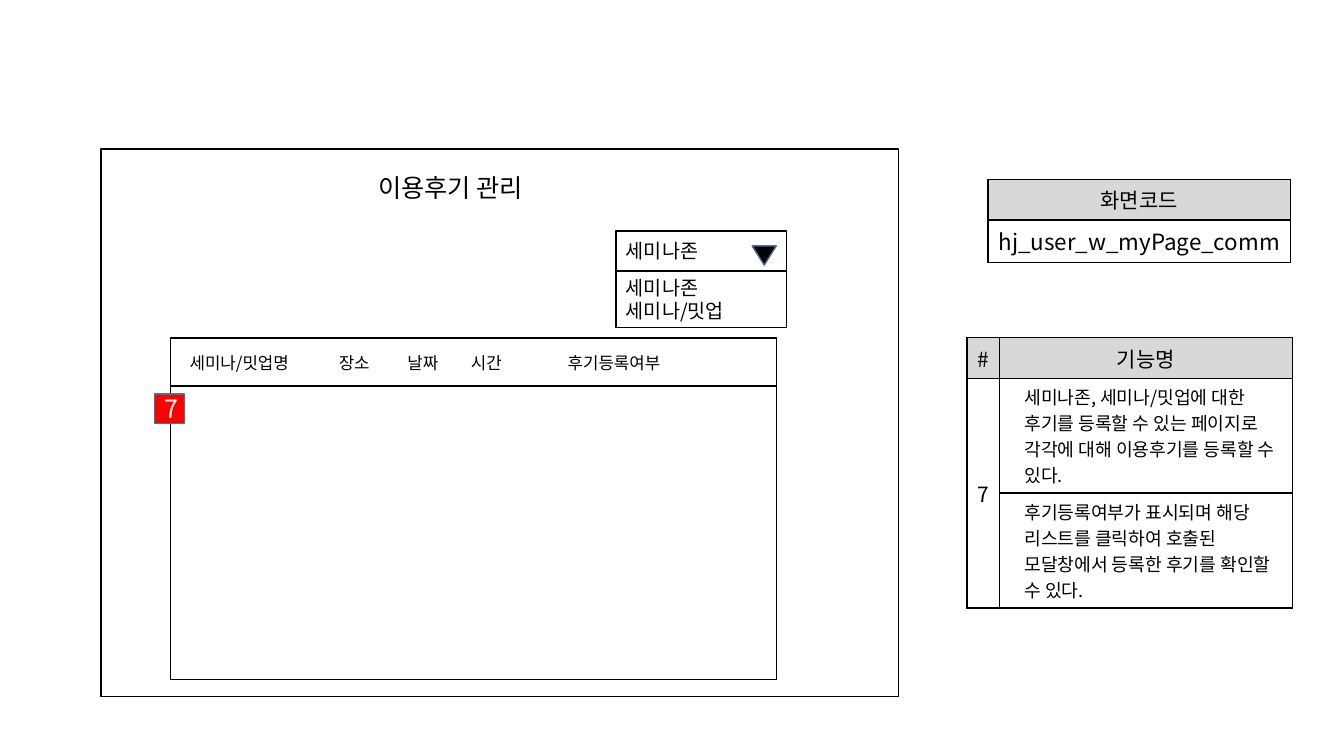
from lxml import etree
from pptx import Presentation
from pptx.dml.color import RGBColor
from pptx.enum.shapes import MSO_SHAPE
from pptx.enum.text import MSO_ANCHOR, PP_ALIGN
from pptx.oxml.ns import qn
from pptx.util import Inches, Pt

RECTANGLE = MSO_SHAPE.RECTANGLE
TRIANGLE = MSO_SHAPE.ISOSCELES_TRIANGLE
MIDDLE, TOP = MSO_ANCHOR.MIDDLE, MSO_ANCHOR.TOP
LEFT, CENTER = PP_ALIGN.LEFT, PP_ALIGN.CENTER
FONT = "Noto Sans CJK KR"
COLORS = {"ink": "000000", "paper": "FFFFFF", "header": "D8D8D8",
          "badge": "FF0000", "edge": "43739E"}


def rgb(name):
    """Return the named colour."""
    return RGBColor.from_string(COLORS[name])


def write(frame, lines, size, color="ink", align=LEFT):
    """Fill a text frame with one paragraph per line."""
    frame.text = "\n".join(lines)
    for paragraph in frame.paragraphs:
        paragraph.alignment = align
        font = paragraph.font
        font.size, font.name = Pt(size), FONT
        font.color.rgb = rgb(color)
        for run in paragraph.runs:
            properties = run._r.get_or_add_rPr()
            etree.SubElement(properties, qn("a:ea"), typeface=FONT)


def add_title(slide, text, left, top, width, height):
    """Place the page heading in the title placeholder."""
    title = slide.shapes.title
    title.left, title.top = Inches(left), Inches(top)
    title.width, title.height = Inches(width), Inches(height)
    write(title.text_frame, [text], 18)
    title.text_frame.vertical_anchor = TOP


def add_box(slide, left, top, width, height, fill=None, edge="ink", kind=RECTANGLE):
    """Draw an outlined preset shape."""
    box = slide.shapes.add_shape(kind, Inches(left), Inches(top), Inches(width), Inches(height))
    box.shadow.inherit = False
    if fill:
        box.fill.solid()
        box.fill.fore_color.rgb = rgb(fill)
    else:
        box.fill.background()
    box.line.color.rgb = rgb(edge)
    box.line.width = Pt(1)
    box.text_frame.vertical_anchor = MIDDLE
    return box


def set_tabs(paragraph, stops):
    """Set left tab stops in inches."""
    tabs = etree.SubElement(paragraph._p.get_or_add_pPr(), qn("a:tabLst"))
    for stop in stops:
        etree.SubElement(tabs, qn("a:tab"), pos=str(Inches(stop)), algn="l")


def add_borders(cell):
    """Draw a thin line on each side of a cell."""
    properties = cell._tc.get_or_add_tcPr()
    for index, side in enumerate(("a:lnL", "a:lnR", "a:lnT", "a:lnB")):
        line = etree.Element(qn(side), w=str(Pt(1)))
        fill = etree.SubElement(line, qn("a:solidFill"))
        etree.SubElement(fill, qn("a:srgbClr"), val=COLORS["ink"])
        properties.insert(index, line)


def add_grid(slide, left, top, columns, rows, inset):
    """Add a bordered table with a grey header row."""
    table = slide.shapes.add_table(len(rows), len(columns), Inches(left), Inches(top),
                                   Inches(sum(columns)), Inches(sum(rows))).table
    for column, width in zip(table.columns, columns):
        column.width = Inches(width)
    for index, (row, height) in enumerate(zip(table.rows, rows)):
        row.height = Inches(height)
        for cell in row.cells:
            cell.fill.solid()
            cell.fill.fore_color.rgb = rgb("paper" if index else "header")
            cell.margin_left = cell.margin_right = Inches(inset)
            cell.vertical_anchor = MIDDLE
            add_borders(cell)
    return table


def add_features(slide):
    """Add the table of numbered features."""
    features = add_grid(slide, 9.59, 3.35, [0.32, 2.91], [0.4, 1.14, 1.14], 0.1)
    features.cell(1, 0).merge(features.cell(2, 0))
    for row, column, text in ((0, 0, "#"), (0, 1, "기능명"), (1, 0, "7")):
        write(features.cell(row, column).text_frame, [text], 15, align=CENTER)
    descriptions = ("세미나존, 세미나/밋업에 대한 후기를 등록할 수 있는 페이지로 "
                    "각각에 대해 이용후기를 등록할 수 있다.",
                    "후기등록여부가 표시되며 해당 리스트를 클릭하여 호출된 "
                    "모달창에서 등록한 후기를 확인할 수 있다.")
    for row, description in enumerate(descriptions, 1):
        cell = features.cell(row, 1)
        cell.vertical_anchor = TOP
        write(cell.text_frame, [description], 13)
        cell.text_frame.paragraphs[0]._p.get_or_add_pPr().set("marL", str(Inches(0.15)))


def add_dropdown(slide):
    """Add the zone selector with its open list."""
    selected = add_box(slide, 6.11, 2.29, 1.69, 0.4)
    write(selected.text_frame, ["세미나존"], 14)
    arrow = add_box(slide, 7.46, 2.44, 0.24, 0.19, "ink", "edge", TRIANGLE)
    arrow._element.spPr.find(qn("a:xfrm")).set("flipV", "1")
    options = add_box(slide, 6.11, 2.69, 1.69, 0.56)
    write(options.text_frame, ["세미나존", "세미나/밋업"], 14)


def add_review_list(slide):
    """Add the review list with its column headings and badge."""
    add_box(slide, 1.69, 3.35, 6.01, 3.39)
    headings = add_box(slide, 1.69, 3.36, 6.01, 0.47)
    headings.text_frame.margin_left = Inches(0.19)
    write(headings.text_frame, ["세미나/밋업명\t장소\t날짜\t시간\t후기등록여부"], 12)
    set_tabs(headings.text_frame.paragraphs[0], [1.48, 2.16, 2.79, 3.75])
    badge = add_box(slide, 1.53, 3.91, 0.3, 0.29, "badge", "edge")
    write(badge.text_frame, ["7"], 18, "paper", CENTER)


def add_screen_code(slide):
    """Add the table that names the screen code."""
    screen_code = add_grid(slide, 9.8, 1.78, [3], [0.35, 0.36], 0.08)
    for row, (text, size) in enumerate((("화면코드", 15), ("hj_user_w_myPage_comm", 16))):
        write(screen_code.cell(row, 0).text_frame, [text], size, align=CENTER)


def main():
    """Build and save the slide."""
    deck = Presentation()
    deck.slide_width, deck.slide_height = Inches(13.33), Inches(7.5)
    slide = deck.slides.add_slide(deck.slide_layouts[5])
    add_features(slide)
    add_box(slide, 1, 1.48, 7.91, 5.43)
    add_title(slide, "이용후기 관리", 3.65, 1.66, 2.61, 0.4)
    add_dropdown(slide)
    add_review_list(slide)
    add_screen_code(slide)
    deck.save("out.pptx")


main()
